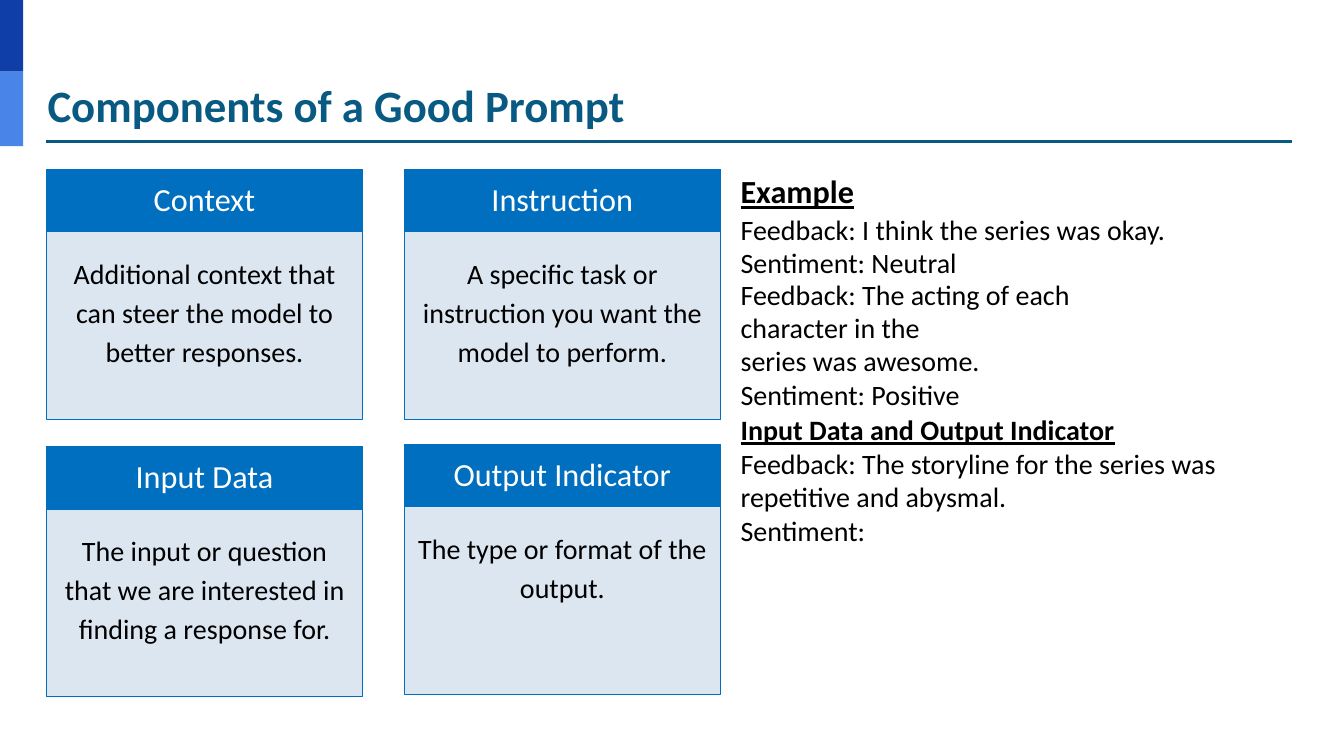
import pptx
import pptx.dml.color
import pptx.enum.shapes
import pptx.enum.text
import pptx.util
from dataclasses import dataclass
from lxml import etree
from pptx.oxml.ns import qn

Pt = pptx.util.Pt
ALIGN = pptx.enum.text.PP_ALIGN

TITLE = "Components of a Good Prompt"

# heading, explanation, column, top of the card
CARDS = [
    ("Context", "Additional context that can steer the model to better responses.", 0, 121),
    ("Input Data", "The input or question that we are interested in finding a response for.", 0, 319),
    ("Instruction", "A specific task or instruction you want the model to perform.", 1, 121),
    ("Output Indicator", "The type or format of the output.", 1, 317.5),
]

# each paragraph: spans of (text, style), line spacing, space before, right margin
EXAMPLE = [
    ([("Example", "heading")], None, 0, 0),
    ([("Feedback: I think the series was okay. Sentiment: Neutral", "body")], Pt(23.8), 1.4, 0),
    ([("Feedback: The acting of each character in the", "body")], Pt(23.2), 0, 100),
    ([("series was awesome. Sentiment: Positive", "body")], None, 0, 150),
]
QUESTION = [
    ([("Input Data and Output Indicator", "label"), (" ", "body_bold"),
      ("Feedback: The storyline for the series was repetitive and abysmal.", "body")], 1.0, 0, 0),
    ([("Sentiment:", "body")], None, 0, 0),
]


@dataclass(frozen=True)
class Theme:
    font: str = "Calibri"
    title: str = "085A82"
    accent_dark: str = "0F3EA8"
    accent_light: str = "4985E8"
    header: str = "006FC0"
    panel: str = "DCE6F1"
    text: str = "000000"
    inverse: str = "FFFFFF"
    title_size: int = 32
    heading_size: int = 23
    body_size: int = 20


THEME = Theme()

# size, colour, bold, underline
STYLES = {
    "title": (THEME.title_size, THEME.title, True, False),
    "card_heading": (THEME.heading_size, THEME.inverse, False, False),
    "heading": (THEME.heading_size, THEME.text, True, True),
    "label": (THEME.body_size, THEME.text, True, True),
    "body_bold": (THEME.body_size, THEME.text, True, False),
    "body": (THEME.body_size, THEME.text, False, False),
}

CARD_LEFT, CARD_PITCH, CARD_WIDTH = 33.12, 255.6, 226.1
HEADER_HEIGHT, PANEL_HEIGHT = 44.6, 133.9


def colour(code):
    return pptx.dml.color.RGBColor.from_string(code)


def set_frame(box, side=0, top=0.7):
    frame = box.text_frame
    frame.word_wrap = True
    frame.vertical_anchor = pptx.enum.text.MSO_ANCHOR.TOP
    frame.margin_left = frame.margin_right = Pt(side)
    frame.margin_top, frame.margin_bottom = Pt(top), Pt(0)
    return frame


def write(frame, paragraphs, align=ALIGN.LEFT):
    for index, (spans, spacing, before, right) in enumerate(paragraphs):
        para = frame.add_paragraph() if index else frame.paragraphs[0]
        para.alignment = align
        para.space_before = Pt(before)
        if spacing is not None:
            para.line_spacing = spacing
        if right:
            para._p.get_or_add_pPr().set("marR", str(Pt(right)))
        for text, style in spans:
            size, ink, bold, underline = STYLES[style]
            span = para.add_run()
            span.text = text
            span.font.name = THEME.font
            span.font.size = Pt(size)
            span.font.color.rgb = colour(ink)
            span.font.bold = bold
            span.font.underline = underline


def add_box(page, left, top, width, height, fill, line=None):
    box = page.shapes.add_shape(pptx.enum.shapes.MSO_SHAPE.RECTANGLE,
                                Pt(left), Pt(top), Pt(width), Pt(height))
    box.shadow.inherit = False
    box.fill.solid()
    box.fill.fore_color.rgb = colour(fill)
    if line:
        box.line.color.rgb = colour(line)
        box.line.width = Pt(0.75)
    else:
        box.line.fill.background()
    return box


def add_text(page, left, top, width, height, paragraphs):
    box = page.shapes.add_textbox(Pt(left), Pt(top), Pt(width), Pt(height))
    write(set_frame(box), paragraphs)


def add_card(page, heading, explanation, column, top):
    left = CARD_LEFT + column * CARD_PITCH
    panel = add_box(page, left, top + HEADER_HEIGHT, CARD_WIDTH, PANEL_HEIGHT,
                    THEME.panel, THEME.header)
    write(set_frame(panel, 8, 14.2), [([(explanation, "body")], 1.15, 0, 0)], ALIGN.CENTER)
    header = add_box(page, left, top, CARD_WIDTH, HEADER_HEIGHT, THEME.header, THEME.header)
    write(set_frame(header, 0, 7), [([(heading, "card_heading")], None, 0, 0)], ALIGN.CENTER)


def add_rule(page, left, right, top):
    rule = page.shapes.add_connector(pptx.enum.shapes.MSO_CONNECTOR.STRAIGHT,
                                     Pt(left), Pt(top), Pt(right), Pt(top))
    rule.line.color.rgb = colour(THEME.title)
    rule.line.width = Pt(2.25)
    etree.SubElement(rule._element.spPr, qn("a:effectLst"))


def main():
    deck = pptx.Presentation()
    deck.slide_width, deck.slide_height = Pt(960), Pt(540)
    page = deck.slides.add_slide(deck.slide_layouts[6])

    add_box(page, 0, 0, 16.5, 51.2, THEME.accent_dark)
    add_box(page, 0, 51.2, 16.5, 53.2, THEME.accent_light)
    add_rule(page, CARD_LEFT, 923, 101)
    add_text(page, 34, 54.6, 618, 40, [([(TITLE, "title")], None, 0, 0)])
    add_text(page, 529, 122, 371, 150, EXAMPLE)
    add_text(page, 529, 294, 345, 98, QUESTION)
    for card in CARDS:
        add_card(page, *card)

    deck.save("out.pptx")


if __name__ == "__main__":
    main()
